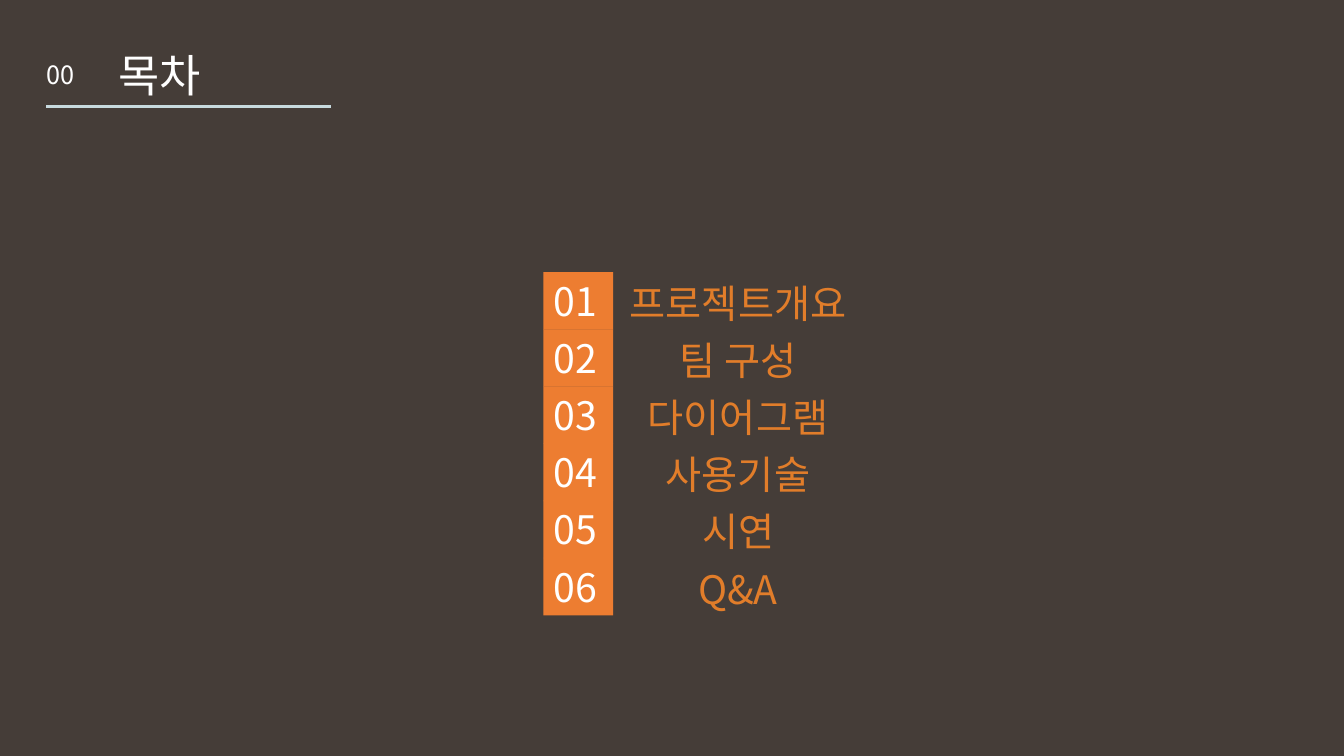
from pptx import Presentation
from pptx.dml.color import RGBColor
from pptx.enum.shapes import MSO_CONNECTOR, MSO_SHAPE
from pptx.enum.text import MSO_ANCHOR, MSO_AUTO_SIZE, PP_ALIGN
from pptx.oxml.ns import qn
from pptx.util import Inches, Pt
from lxml.etree import SubElement

FONT = "Noto Sans CJK KR"
BROWN = RGBColor(0x45, 0x3D, 0x38)
MIST = RGBColor(0xC7, 0xDA, 0xDE)
WHITE = RGBColor(0xFF, 0xFF, 0xFF)
TILE = RGBColor(0xED, 0x7D, 0x31)
LABEL = RGBColor(0xE1, 0x7D, 0x2A)


def write(box, text, size, color, align=PP_ALIGN.LEFT, wrap=False):
    frame = box.text_frame
    frame.word_wrap = wrap
    frame.auto_size = MSO_AUTO_SIZE.SHAPE_TO_FIT_TEXT
    frame.vertical_anchor = MSO_ANCHOR.TOP
    par = frame.paragraphs[0]
    par.alignment = align
    run = par.add_run()
    run.text = text
    run.font.size = Pt(size)
    run.font.name = FONT
    run.font.color.rgb = color
    SubElement(run.font._element, qn("a:ea"), typeface=FONT)


deck = Presentation()
deck.slide_width, deck.slide_height = Inches(13.33), Inches(7.5)
slide = deck.slides.add_slide(deck.slide_layouts[5])
slide.background.fill.solid()
slide.background.fill.fore_color.rgb = BROWN
shapes = slide.shapes

# Header
rule = shapes.add_connector(MSO_CONNECTOR.STRAIGHT, Inches(0.46), Inches(1.06),
                            Inches(3.28), Inches(1.06))
rule.line.color.rgb = MIST
rule.line.width = Pt(2)
SubElement(rule._element.spPr, qn("a:effectLst"))

title = shapes.title
title.left, title.top = Inches(1.07), Inches(0.42)
title.width, title.height = Inches(1.02), Inches(0.64)
write(title, "목차", 32, WHITE, PP_ALIGN.CENTER)

mark = shapes.add_textbox(Inches(0.36), Inches(0.54), Inches(0.51), Inches(0.4))
write(mark, "00", 18, WHITE)

# Contents: one numbered tile and one centred label per row
TOP, PITCH, HIGH = 2.7, 0.567, 0.57
LEFT, WIDE = 5.39, 0.69
MID = 7.32
rows = [("프로젝트개요", 2.71), ("팀 구성", 1.51), ("다이어그램", 3.25),
        ("사용기술", 1.77), ("시연", 0.92), ("Q&A", 1.03)]

for i, (name, span) in enumerate(rows):
    top = TOP + i * PITCH
    tile = shapes.add_shape(MSO_SHAPE.RECTANGLE, Inches(LEFT), Inches(top),
                            Inches(WIDE), Inches(HIGH))
    tile.shadow.inherit = False
    tile.fill.solid()
    tile.fill.fore_color.rgb = TILE
    tile.line.fill.background()
    write(tile, f"{i + 1:02}", 28, WHITE)

    label = shapes.add_textbox(Inches(MID - span / 2), Inches(top + 0.02),
                               Inches(span), Inches(HIGH))
    write(label, name, 28, LABEL, PP_ALIGN.CENTER, wrap=span > 2)

deck.save("out.pptx")
